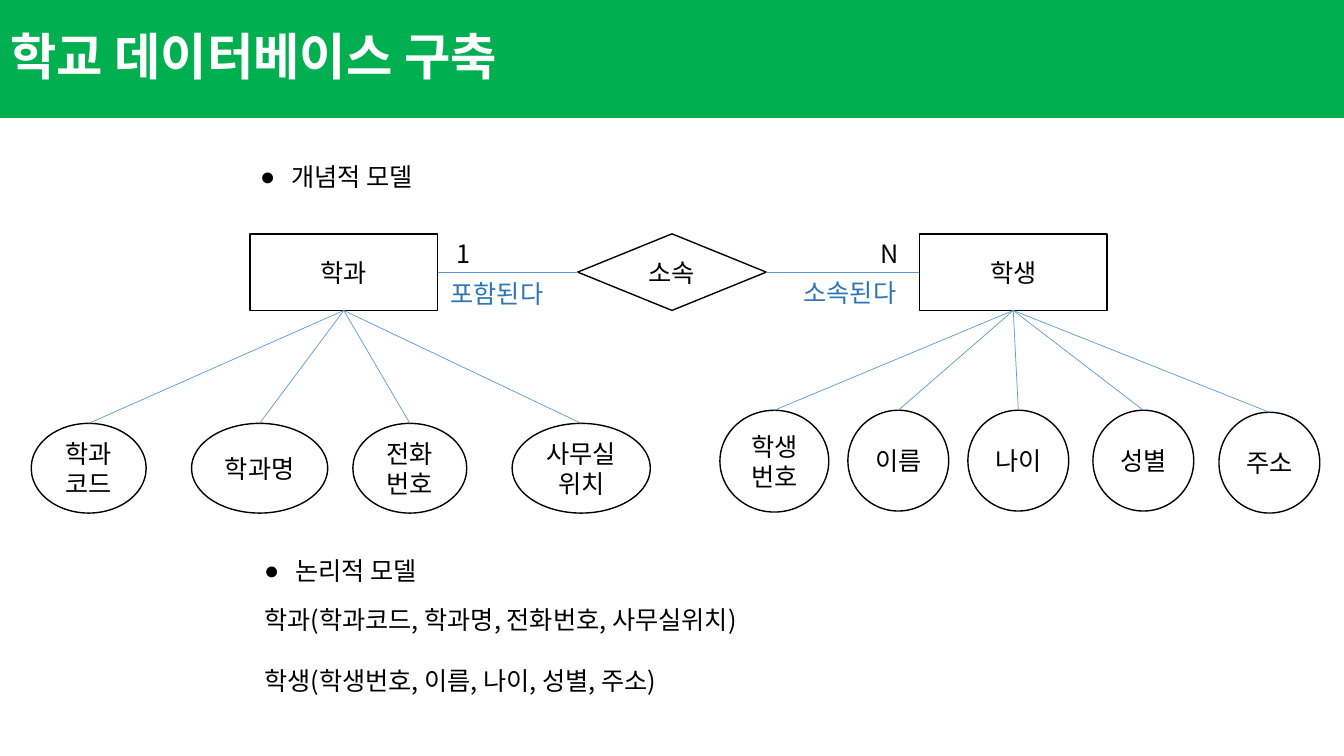
from lxml.etree import SubElement
from pptx import Presentation
from pptx.dml.color import RGBColor
from pptx.enum.shapes import MSO_CONNECTOR, MSO_SHAPE
from pptx.enum.text import MSO_ANCHOR, MSO_AUTO_SIZE, PP_ALIGN
from pptx.oxml.ns import qn
from pptx.util import Inches, Pt

FONT = "Noto Sans CJK KR"
GREEN = RGBColor(0x00, 0xB0, 0x50)
WHITE = RGBColor(0xFF, 0xFF, 0xFF)
BLACK = RGBColor(0x00, 0x00, 0x00)
LINE_BLUE = RGBColor(0x5B, 0x9B, 0xD5)
ROLE_BLUE = RGBColor(0x2E, 0x75, 0xB6)


def write(shape, text, size=18, color=BLACK, bold=False, align=PP_ALIGN.LEFT,
          anchor=MSO_ANCHOR.TOP, spacing=1.0, gaps=(), bulleted=False):
    """Fill a shape with one paragraph per line; a bullet goes on the first."""
    frame = shape.text_frame
    frame.word_wrap = True
    frame.auto_size = MSO_AUTO_SIZE.NONE
    frame.vertical_anchor = anchor
    frame.text = text
    for number, paragraph in enumerate(frame.paragraphs):
        paragraph.alignment = align
        paragraph.line_spacing = spacing
        paragraph.space_before = Pt(gaps[number] if gaps else 0)
        properties = paragraph._p.get_or_add_pPr()
        has_bullet = bulleted and number == 0
        indent = Inches(0.31) if has_bullet else 0
        properties.set("marL", str(indent))
        properties.set("indent", str(-indent))
        if has_bullet:
            SubElement(properties, qn("a:buChar")).set("char", "●")
        else:
            SubElement(properties, qn("a:buNone"))
        for run in paragraph.runs:
            run.font.size = Pt(size)
            run.font.bold = bold
            run.font.color.rgb = color
            run.font.name = FONT
            SubElement(run._r.get_or_add_rPr(), qn("a:ea")).set("typeface", FONT)


def place(shape, left, top, width, height):
    shape.left, shape.top = Inches(left), Inches(top)
    shape.width, shape.height = Inches(width), Inches(height)


presentation = Presentation()
presentation.slide_width = Inches(13.33)
presentation.slide_height = Inches(7.5)
slide = presentation.slides.add_slide(presentation.slide_layouts[3])
shapes = slide.shapes

# Title band
title = shapes.title
place(title, 0, 0, 13.33, 1.17)
title.fill.solid()
title.fill.fore_color.rgb = GREEN
write(title, "학교 데이터베이스 구축", size=36, color=WHITE, bold=True,
      anchor=MSO_ANCHOR.MIDDLE, spacing=0.9)

# Conceptual and logical model texts
conceptual, logical = slide.placeholders[1], slide.placeholders[2]
place(conceptual, 2.48, 1.55, 3.63, 0.4)
write(conceptual, "개념적 모델", bulleted=True)
place(logical, 2.52, 5.46, 7.55, 1.5)
write(logical, "논리적 모델\n"
      "학과(학과코드, 학과명, 전화번호, 사무실위치)\n"
      "학생(학생번호, 이름, 나이, 성별, 주소)",
      gaps=(0, 13, 22), bulleted=True)

# Entities, relationship and attributes
NODES = [
    ("학과", MSO_SHAPE.RECTANGLE, 2.48, 2.32, 1.86, 0.76),
    ("학생", MSO_SHAPE.RECTANGLE, 9.12, 2.32, 1.86, 0.76),
    ("소속", MSO_SHAPE.DIAMOND, 5.73, 2.32, 1.87, 0.76),
    ("학과\n코드", MSO_SHAPE.OVAL, 0.31, 4.2, 1.14, 0.89),
    ("학과명", MSO_SHAPE.OVAL, 1.9, 4.2, 1.35, 0.89),
    ("전화\n번호", MSO_SHAPE.OVAL, 3.5, 4.2, 1.13, 0.89),
    ("사무실\n위치", MSO_SHAPE.OVAL, 5.08, 4.2, 1.37, 0.89),
    ("학생\n번호", MSO_SHAPE.OVAL, 7.14, 4.07, 1.08, 1.01),
    ("이름", MSO_SHAPE.OVAL, 8.41, 4.07, 1, 1),
    ("나이", MSO_SHAPE.OVAL, 9.6, 4.07, 1, 1),
    ("성별", MSO_SHAPE.OVAL, 10.84, 4.07, 1, 1),
    ("주소", MSO_SHAPE.OVAL, 12.09, 4.09, 1, 1),
]
nodes = []
for name, kind, *box in NODES:
    node = shapes.add_shape(kind, *map(Inches, box))
    node.shadow.inherit = False
    node.fill.solid()
    node.fill.fore_color.rgb = WHITE
    node.line.color.rgb = BLACK
    node.line.width = Pt(1)
    write(node, name, align=PP_ALIGN.CENTER, anchor=MSO_ANCHOR.MIDDLE)
    nodes.append(node)
department, student, belonging, *attributes = nodes

# Links: relationship to entities, then each entity to its attributes
TOP, LEFT, BOTTOM, RIGHT = range(4)
links = [(belonging, LEFT, department, RIGHT), (belonging, RIGHT, student, LEFT)]
links += [(department, BOTTOM, attribute, TOP) for attribute in attributes[:4]]
links += [(student, BOTTOM, attribute, TOP) for attribute in attributes[4:]]
for start, start_side, end, end_side in links:
    link = shapes.add_connector(MSO_CONNECTOR.STRAIGHT, 0, 0, 0, 0)
    link.begin_connect(start, start_side)
    link.end_connect(end, end_side)
    link.line.color.rgb = LINE_BLUE
    link.line.width = Pt(0.5)
    SubElement(link._element.spPr, qn("a:effectLst"))

# Cardinalities and roles
for label, color, left, top, width in [
    ("1", BLACK, 4.43, 2.32, 0.75),
    ("N", BLACK, 8.63, 2.32, 0.75),
    ("포함된다", ROLE_BLUE, 4.37, 2.71, 1.21),
    ("소속된다", ROLE_BLUE, 7.87, 2.7, 1.21),
]:
    caption = shapes.add_textbox(Inches(left), Inches(top), Inches(width), Inches(0.4))
    write(caption, label, color=color)

presentation.save("out.pptx")
